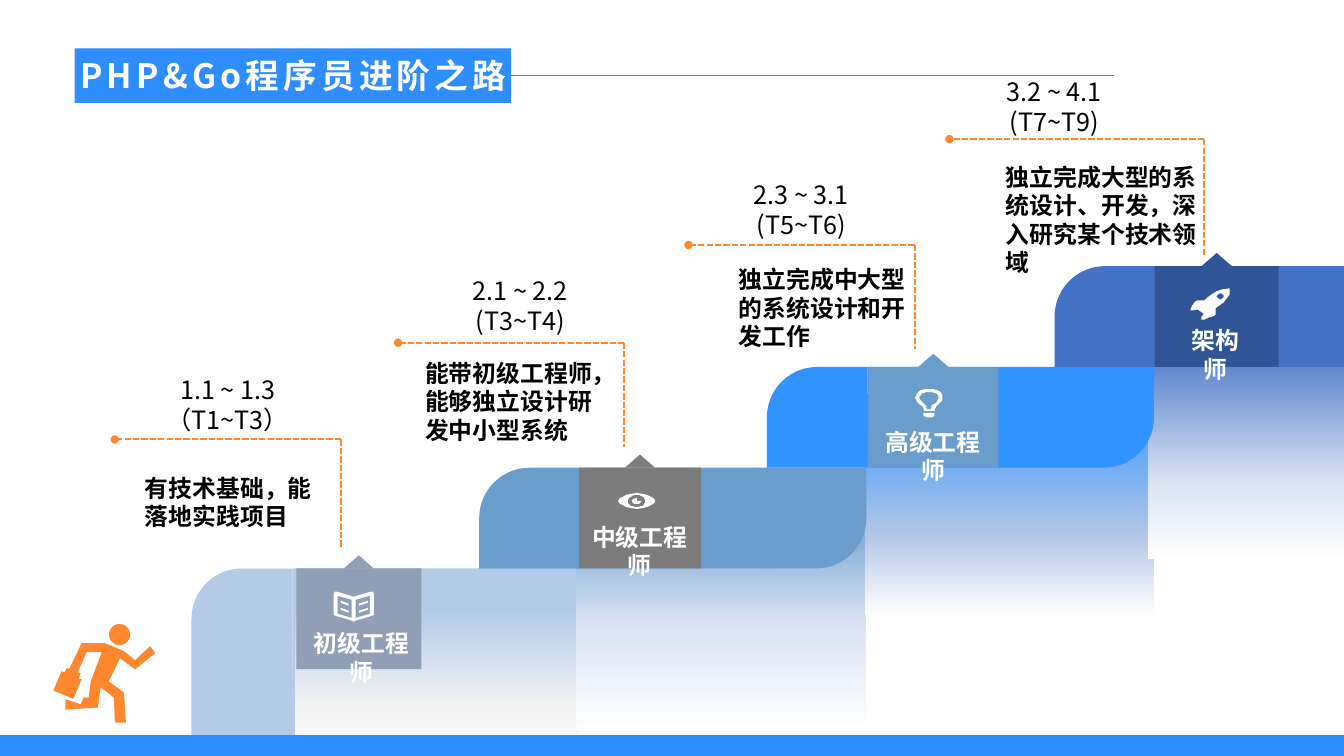
import copy
from dataclasses import dataclass

import pptx
import pptx.dml.color
import pptx.enum.dml
import pptx.enum.shapes
import pptx.enum.text
import pptx.oxml.ns
import pptx.util
from lxml import etree

Pt = pptx.util.Pt
qn = pptx.oxml.ns.qn
SHAPE = pptx.enum.shapes.MSO_SHAPE
ALIGN = pptx.enum.text.PP_ALIGN
ANCHOR = pptx.enum.text.MSO_ANCHOR


@dataclass(frozen=True)
class Theme:
    font: str = "Noto Sans CJK SC"
    title_size: int = 24
    level_size: int = 18
    body_size: int = 17
    blue: str = "2E8DFF"
    orange: str = "FF872E"
    white: str = "FFFFFF"
    black: str = "000000"
    steps: tuple = ("B4CBE7", "6B9DCC", "3093FF", "4472C4")
    fades: tuple = ("F2F2F2", "DAE3F3", "B4C7E7", "DAE3F3")
    badges: tuple = ("919FB6", "7C7C7C", "6B9DCC", "2F5597")


THEME = Theme()
STEP_LEFT, STEP_TOP, STEP_RUN, CAP = 136.8, 406.1, 205.5, 72
OUTLINE_UNIT = 0.72

# Outline coordinates: pairs are corners, sixes are Bézier curves.
RUNNER = [[
    (134, 655), (123, 646), (104, 638), (81, 638), (69, 663), (66, 663), (64, 667),
    (61, 666), (53, 685), (72, 693), (73, 693), (81, 674), (78, 673), (80, 668),
    (77, 667), (86, 647), (101, 647), (90, 676), (88, 692), (83, 692), (80, 699),
    (78, 698), (66, 694), (65, 694), (65, 704), (97, 702), (100, 682), (113, 692),
    (114, 717), (125, 717), (123, 687), (108, 676), (119, 653), (134, 664),
    (154, 648), (149, 641)]]
BOOK = [
    [(370, 587), (368, 587), (351, 592), (334, 587), (332, 587), (331, 589), (331, 610),
     (333, 611), (350, 616), (351, 617), (352, 616), (369, 611), (371, 610), (371, 589)],
    [(349, 613), (335, 609), (335, 591), (349, 595)],
    [(367, 609), (353, 613), (353, 595), (367, 591)],
    *[[(346, y + 3), (338, y), (338, y + 2), (346, y + 5)] for y in (596, 603)],
    *[[(365, y), (356, y + 3), (356, y + 5), (365, y + 2)] for y in (596, 603)]]
EYE = [
    [(632, 489), (619, 489, 613, 496, 613, 497), (613, 498, 619, 505, 632, 505),
     (644, 505, 650, 498, 650, 497), (650, 496, 644, 489, 632, 489)],
    [(632, 503), (627, 503, 623, 501, 623, 497), (623, 494, 627, 491, 632, 491),
     (636, 491, 640, 494, 640, 497), (640, 501, 636, 503, 632, 503)],
    [(632, 497), (631, 497, 633, 494, 632, 494), (629, 494, 627, 496, 627, 497),
     (627, 499, 629, 500, 632, 500), (634, 500, 636, 499, 636, 497),
     (636, 497, 632, 498, 632, 497)]]
BULB = [
    [(916, 413), (918, 413, 920, 414, 922, 414), (924, 414, 926, 413, 927, 413),
     (927, 410), (916, 410)],
    [(927, 408), (927, 402, 936, 400, 935, 394), (935, 390, 931, 386, 922, 386),
     (912, 386, 909, 390, 908, 394), (908, 400, 917, 402, 917, 408)],
    [(912, 394), (913, 391, 916, 389, 922, 389), (927, 389, 931, 391, 931, 394),
     (931, 396, 930, 398, 928, 400), (926, 401, 924, 403, 923, 406), (920, 406),
     (919, 403, 917, 401, 916, 400), (914, 398, 912, 396, 912, 394)]]
ROCKET = [
    [(1206, 306), (1206, 306, 1222, 297, 1220, 287), (1220, 286),
     (1206, 285, 1195, 298, 1195, 298), (1185, 297, 1186, 298, 1181, 307),
     (1180, 308, 1182, 309, 1183, 308), (1188, 307), (1194, 311),
     (1194, 311, 1193, 314, 1192, 315), (1192, 317, 1193, 318, 1195, 317),
     (1205, 313, 1207, 314, 1206, 306)],
    [(1208, 296), (1207, 295, 1207, 293, 1208, 292), (1210, 291, 1212, 291, 1213, 292),
     (1215, 293, 1215, 295, 1213, 296), (1212, 297, 1210, 297, 1208, 296)]]


@dataclass(frozen=True)
class Stage:
    """One career step; boxes are left, top, width, height."""
    name: str
    levels: tuple
    duty: str
    icon: list
    fade: tuple
    middle: float
    badge: tuple
    label: tuple
    callout: tuple
    level_box: tuple
    duty_box: tuple


STAGES = [
    Stage("初级工程师", ("1.1 ~ 1.3", "（T1~T3）"), "有技术基础，能落地实践项目", BOOK,
          (211, 435.6, 202.3, 104.4), 0.35, (211.7, 89.3), (216, 449.3, 84.5),
          (82, 243.7, 313.9, 391), (88.6, 263.5), (96.5, 328.3, 141.8, 60.5)),
    Stage("中级工程师", ("2.1 ~ 2.2", "(T3~T4)"), "能带初级工程师，能够独立设计研发中小型系统", EYE,
          (411.8, 363.6, 206.6, 157.7), 0.48, (413.6, 87.1), (414.7, 373, 84.5),
          (284.4, 446, 244.8, 319), (297.4, 193), (296.6, 256.3, 141.8, 60.5)),
    Stage("高级工程师", ("2.3 ~ 3.1", "(T5~T6)"), "独立完成中大型的系统设计和开发工作", BULB,
          (617.8, 281.5, 206.6, 157.7), 0.35, (620.3, 92.9), (624.2, 305.3, 84.5),
          (491.8, 653.4, 175, 249), (498.2, 124.6), (520.6, 189.4, 141.8, 60.5)),
    Stage("架构师", ("3.2 ~ 4.1", "(T7~T9)"), "独立完成大型的系统设计、开发，深入研究某个技术领域", ROCKET,
          (820.1, 241.9, 139.9, 157.7), 0.35, (824.8, 88.6), (843.1, 232.6, 50.5),
          (678.2, 860, 99.4, 182.9), (679, 51.1), (711.4, 110.2, 153.4, 92.9)),
]


def rgb(color):
    return pptx.dml.color.RGBColor.from_string(color)


def paint(shape, color):
    shape.shadow.inherit = False
    shape.line.fill.background()
    shape.fill.solid()
    shape.fill.fore_color.rgb = rgb(color)


def add_block(page, kind, box, color):
    block = page.shapes.add_shape(kind, *map(Pt, box))
    paint(block, color)
    return block


def add_fade(page, box, color, pale, middle):
    """Add a block fading from color at its top to white at its bottom."""
    block = add_block(page, SHAPE.RECTANGLE, box, color)
    block.fill.gradient()
    block.fill.gradient_angle = 90
    stop_list = block._element.spPr.find(".//" + qn("a:gsLst"))
    stop_list.append(copy.deepcopy(stop_list[0]))
    stops = ((0, THEME.white), (middle, pale), (1, color))
    for stop, (position, shade) in zip(block.fill.gradient_stops, stops):
        stop.position = position
        stop.color.rgb = rgb(shade)


def add_line(page, start, end, color, width, dashed=False, dot=False):
    line = page.shapes.add_connector(
        pptx.enum.shapes.MSO_CONNECTOR.STRAIGHT, *map(Pt, start + end))
    line.line.color.rgb = rgb(color)
    line.line.width = Pt(width)
    if dashed:
        line.line.dash_style = pptx.enum.dml.MSO_LINE.SQUARE_DOT
    if dot:
        etree.SubElement(line.line._get_or_add_ln(), qn("a:tailEnd")).set("type", "oval")
    etree.SubElement(line._element.spPr, qn("a:effectLst"))


def add_text(page, box, lines, size, color, bold=False, align=ALIGN.LEFT,
             anchor=ANCHOR.TOP, inset=(7.2, 3.6), spacing=0):
    frame = page.shapes.add_textbox(*map(Pt, box)).text_frame
    frame.word_wrap = True
    frame.vertical_anchor = anchor
    frame.margin_left = frame.margin_right = Pt(inset[0])
    frame.margin_top = frame.margin_bottom = Pt(inset[1])
    for index, line in enumerate(lines):
        para = frame.add_paragraph() if index else frame.paragraphs[0]
        para.alignment = align
        span = para.add_run()
        span.text = line
        span.font.size = Pt(size)
        span.font.bold = bold
        span.font.color.rgb = rgb(color)
        span.font.name = THEME.font
        properties = span._r.get_or_add_rPr()
        etree.SubElement(properties, qn("a:ea")).set("typeface", THEME.font)
        if spacing:
            properties.set("spc", str(spacing * 100))


def flatten(contour, pieces=6):
    """Turn the curves of a contour into short straight pieces."""
    points = [contour[0]]
    for step in contour[1:]:
        if len(step) == 2:
            points.append(step)
            continue
        corners = (points[-1], step[:2], step[2:4], step[4:])
        for piece in range(1, pieces + 1):
            t = piece / pieces
            weights = ((1 - t) ** 3, 3 * t * (1 - t) ** 2, 3 * t * t * (1 - t), t ** 3)
            points.append(tuple(sum(w * c[axis] for w, c in zip(weights, corners))
                                for axis in (0, 1)))
    return points


def add_outline(page, contours, color):
    first, *others = map(flatten, contours)
    builder = page.shapes.build_freeform(*first[0], scale=Pt(OUTLINE_UNIT))
    builder.add_line_segments(first[1:])
    for points in others:
        builder.move_to(*points[0])
        builder.add_line_segments(points[1:])
    paint(builder.convert_to_shape(), color)


def add_step(page, index):
    left, top = STEP_LEFT + index * STEP_RUN, STEP_TOP - index * CAP
    color = THEME.steps[index]
    caps = [(left, 270)]
    if index < len(STAGES) - 1:
        caps.append((left + STEP_RUN - 1, 90))
    for cap_left, turn in caps:
        cap = add_block(page, SHAPE.ROUND_1_RECTANGLE, (cap_left, top, CAP, CAP), color)
        cap.adjustments[0] = 0.5
        cap.rotation = turn
    add_block(page, SHAPE.RECTANGLE, (left + CAP, top, 134.7, CAP), color)


def add_stage(page, index, stage):
    top, color = STEP_TOP - index * CAP, THEME.badges[index]
    left, width = stage.badge
    add_block(page, SHAPE.RECTANGLE, (left, top, width, CAP), color)
    add_block(page, SHAPE.ISOSCELES_TRIANGLE,
              (left + width / 2 - 10.8, top - 9.4, 21.6, 9.4), color)
    add_outline(page, stage.icon, THEME.white)
    add_text(page, stage.label + (20.9,), [stage.name], THEME.body_size, THEME.white,
             bold=True, align=ALIGN.CENTER, inset=(0, 0))
    start, corner, level, bottom = stage.callout
    add_line(page, (corner, level), (start, level), THEME.orange, 1.5, dashed=True, dot=True)
    add_line(page, (corner, level), (corner, bottom), THEME.orange, 1.5, dashed=True)
    add_text(page, stage.duty_box, [stage.duty], THEME.body_size, THEME.black,
             bold=True, anchor=ANCHOR.MIDDLE)
    add_text(page, stage.level_box + (148.3, 51.1), stage.levels, THEME.level_size,
             THEME.black, align=ALIGN.CENTER)


def main():
    deck = pptx.Presentation()
    deck.slide_width, deck.slide_height = Pt(960), Pt(540)
    page = deck.slides.add_slide(deck.slide_layouts[6])

    add_step(page, 0)
    add_block(page, SHAPE.RECTANGLE, (STEP_LEFT, 478, 74.2, 62), THEME.steps[0])
    for index, stage in enumerate(STAGES):
        add_fade(page, stage.fade, THEME.steps[index], THEME.fades[index], stage.middle)
    add_line(page, (795.6, 54), (217.4, 54), THEME.blue, 0.75)
    add_block(page, SHAPE.RECTANGLE, (53.3, 34.6, 311.8, 38.9), THEME.blue)
    add_text(page, (30.2, 36, 358.6, 60.5), ["PHP&Go程序员进阶之路"], THEME.title_size,
             THEME.white, bold=True, align=ALIGN.CENTER, inset=(3.6, 3.6), spacing=3)
    add_block(page, SHAPE.RECTANGLE, (0, 525, 960, 15), THEME.blue)
    for index in range(1, len(STAGES)):
        add_step(page, index)
    add_block(page, SHAPE.OVAL, (77.8, 445.7, 15.1, 15.1), THEME.orange)
    add_outline(page, RUNNER, THEME.orange)
    for index, stage in enumerate(STAGES):
        add_stage(page, index, stage)
    deck.save("out.pptx")


if __name__ == "__main__":
    main()
